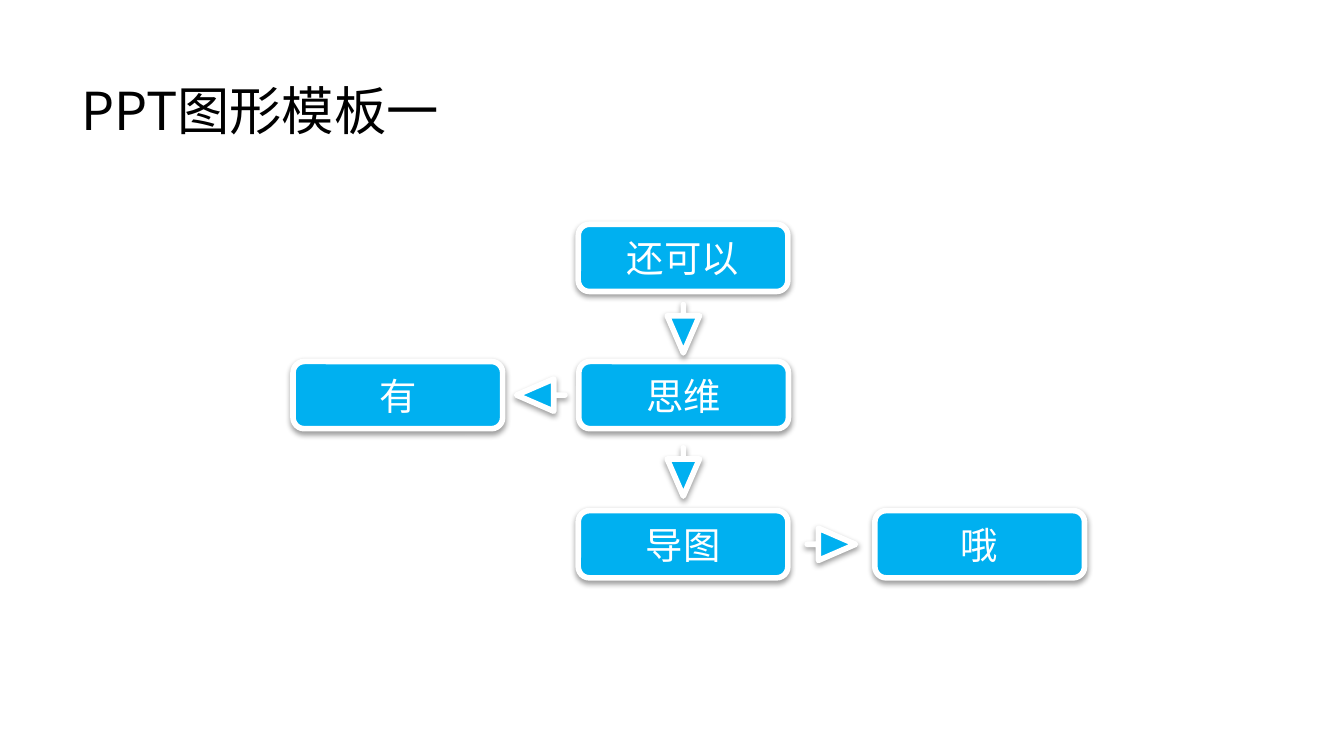
import pptx
import pptx.util
import pptx.dml.color
import pptx.enum.shapes
import pptx.enum.text
import pptx.oxml
import pptx.oxml.ns

Pt = pptx.util.Pt
RGB = pptx.dml.color.RGBColor
SHAPE = pptx.enum.shapes.MSO_SHAPE

# Content: boxes as name -> (text, left, top), arrows as (from, to, turn)
TITLE = "PPT图形模板一"
BOXES = {
    "top": ("还可以", 309.8, 120.2),
    "left": ("有", 157, 193.7),
    "mid": ("思维", 310.1, 193.7),
    "low": ("导图", 309.8, 273.6),
    "right": ("哦", 468.7, 273.6),
}
ARROWS = [
    ("top", "mid", 0),
    ("mid", "low", 0),
    ("mid", "left", 90),
    ("low", "right", 270),
]

# Style
FONT = "Noto Sans CJK SC"
BLUE = RGB(0x00, 0xB0, 0xF0)
WHITE = RGB(0xFF, 0xFF, 0xFF)
BLACK = RGB(0x00, 0x00, 0x00)
BOX_W, BOX_H = 112.3, 36
TIP_W, TIP_H = 17.3, 25.9
DROP = 1.2  # downward arrows sit slightly below the middle of the gap
SHADOW = (
    '<a:outerShdw %s blurRad="%d" dist="%d" dir="5400000" algn="t" '
    'rotWithShape="0"><a:srgbClr val="000000"><a:alpha val="38000"/>'
    "</a:srgbClr></a:outerShdw>"
    % (pptx.oxml.ns.nsdecls("a"), Pt(3.1), Pt(1.6))
)


def write(frame, text, size, color):
    run = frame.paragraphs[0].add_run()
    run.text = text
    run.font.size = Pt(size)
    run.font.name = FONT
    run.font.color.rgb = color
    east = pptx.oxml.parse_xml(
        '<a:ea %s typeface="%s"/>' % (pptx.oxml.ns.nsdecls("a"), FONT))
    run.font._element.find(pptx.oxml.ns.qn("a:latin")).addnext(east)


def block(slide, kind, left, top, width, height):
    shape = slide.shapes.add_shape(
        kind, Pt(left), Pt(top), Pt(width), Pt(height))
    shape.fill.solid()
    shape.fill.fore_color.rgb = BLUE
    shape.line.color.rgb = WHITE
    shape.line.width = Pt(3)
    shape.shadow.inherit = False
    glow = shape._element.spPr.find(pptx.oxml.ns.qn("a:effectLst"))
    glow.append(pptx.oxml.parse_xml(SHADOW))
    return shape


def main():
    deck = pptx.Presentation()
    deck.slide_width, deck.slide_height = Pt(720), Pt(405)
    slide = deck.slides.add_slide(deck.slide_layouts[6])

    # Title
    title = slide.shapes.add_textbox(Pt(36.7), Pt(38.2), Pt(648), Pt(45.4))
    title.text_frame.word_wrap = True
    write(title.text_frame, TITLE, 28, BLACK)

    # Boxes
    for text, left, top in BOXES.values():
        box = block(slide, SHAPE.ROUNDED_RECTANGLE, left, top, BOX_W, BOX_H)
        frame = box.text_frame
        frame.word_wrap = True
        frame.vertical_anchor = pptx.enum.text.MSO_ANCHOR.MIDDLE
        frame.paragraphs[0].alignment = pptx.enum.text.PP_ALIGN.CENTER
        write(frame, text, 20, WHITE)

    # Arrows, each centred between its two boxes
    for start, end, turn in ARROWS:
        _, x1, y1 = BOXES[start]
        _, x2, y2 = BOXES[end]
        mid_x = (x1 + x2 + BOX_W) / 2
        mid_y = (y1 + y2 + BOX_H) / 2 + (0 if turn else DROP)
        tip = block(slide, SHAPE.DOWN_ARROW,
                    mid_x - TIP_W / 2, mid_y - TIP_H / 2, TIP_W, TIP_H)
        tip.adjustments[0] = 0
        tip.adjustments[1] = 1.15
        tip.rotation = turn

    deck.save("out.pptx")


if __name__ == "__main__":
    main()
